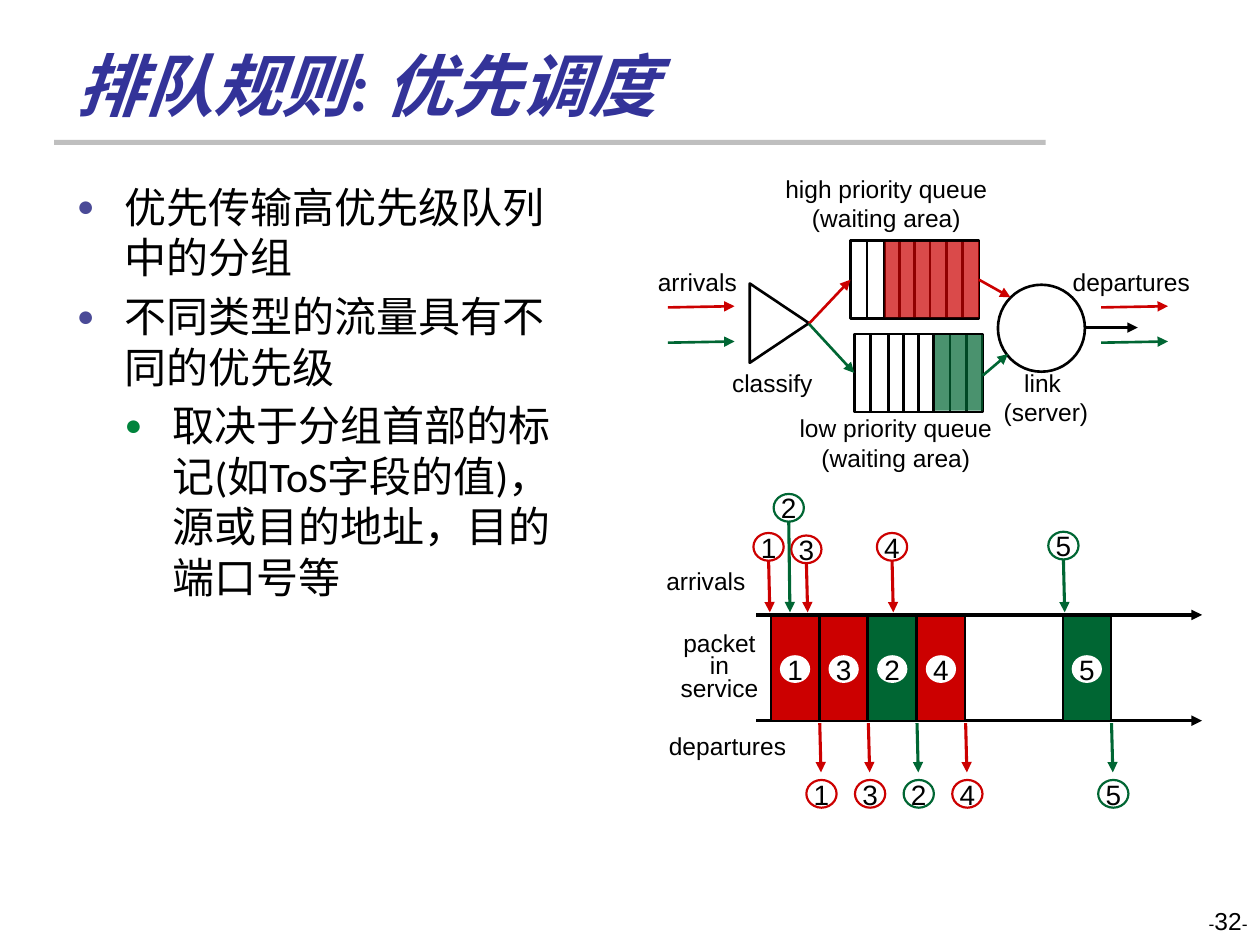
from lxml import etree
from pptx import Presentation, util as u
from pptx.dml.color import RGBColor
from pptx.enum import shapes as es, text as et
from pptx.oxml import ns

HUES = {"ink": "000000", "paper": "FFFFFF", "red": "CC0000", "green": "006633",
        "title": "333399", "rule": "BFBFBF", "dot": "4A4A97", "subdot": "00843C"}
COLS, ROWS = 100, 75
CELL = u.Inches(0.1)
KIND = es.MSO_SHAPE
ALIGN = et.PP_ALIGN
MID = et.MSO_ANCHOR.MIDDLE
BARE = {"margin_left": 0, "margin_right": 0, "margin_top": 0,
        "margin_bottom": 0, "word_wrap": False, "vertical_anchor": MID}
SLOT = 3.86
# number, hue, service slot, column and row of the arrival tag
PACKETS = [("1", "red", 0, 59.8, 42.3), ("3", "red", 1, 62.8, 42.5),
           ("2", "green", 2, 61.4, 39.2), ("4", "red", 3, 69.6, 42.3),
           ("5", "green", 6, 83.2, 42.2)]


def grid(*cells):
    """Turn grid cells into lengths."""
    return [int(CELL * c) for c in cells]


def rgb(hue):
    """Look up a colour."""
    return RGBColor.from_string(HUES[hue])


def put(item, form):
    """Set attributes from a dict of format values."""
    for key, val in form.items():
        setattr(item, key, val)


def node(parent, tag, **attrs):
    """Append an XML element in the drawing namespace."""
    return etree.SubElement(parent, ns.qn("a:" + tag), attrs)


def ink(run, size, hue="ink", face="Arial", **form):
    """Format the font of a run."""
    put(run.font, {"size": u.Pt(size), "name": face, **form})
    run.font.color.rgb = rgb(hue)


def form(slide, kind, box, fill=None, line=None, width=1.5, clear=None, turn=0):
    """Draw a preset shape, optionally see-through."""
    shape = slide.shapes.add_shape(kind, *grid(*box))
    put(shape, {"rotation": turn})
    shape.shadow.inherit = False
    if fill:
        shape.fill.solid()
        shape.fill.fore_color.rgb = rgb(fill)
        if clear:
            tint = shape.fill._xPr.find(".//" + ns.qn("a:srgbClr"))
            node(tint, "alpha", val=str(clear * 1000))
    else:
        shape.fill.background()
    if line:
        shape.line.color.rgb = rgb(line)
        shape.line.width = u.Pt(width)
    else:
        shape.line.fill.background()
    return shape


def link(slide, ends, hue="ink", width=1.5, head=True):
    """Draw a straight line or arrow."""
    line = slide.shapes.add_connector(es.MSO_CONNECTOR.STRAIGHT, *grid(*ends))
    line.line.color.rgb = rgb(hue)
    line.line.width = u.Pt(width)
    if head:
        node(line.line._get_or_add_ln(), "tailEnd", type="triangle")
    node(line._element.spPr, "effectLst")


def label(slide, box, *rows, align=ALIGN.CENTER, wrap=False, pitch=None):
    """Write a caption of one or more paragraphs."""
    frame = slide.shapes.add_textbox(*grid(*box)).text_frame
    frame.word_wrap = wrap
    for i, row in enumerate(rows):
        para = frame.add_paragraph() if i else frame.paragraphs[0]
        put(para, {"alignment": align, "line_spacing": pitch})
        run = para.add_run()
        run.text = row
        ink(run, 14)


def tag(slide, num, x, y, line=None):
    """Draw a numbered oval."""
    oval = form(slide, KIND.OVAL, (x, y, 2.4, 2.2), "paper", line, 1.25)
    put(oval.text_frame, BARE)
    para = oval.text_frame.paragraphs[0]
    para.alignment = ALIGN.CENTER
    run = para.add_run()
    run.text = num
    ink(run, 16)


def queue(slide, x, y, start, hue):
    """Draw a buffer, its dividers and its filled part."""
    form(slide, KIND.RECTANGLE, (x, y, 10.2, 6.2), line="ink")
    for step in (1.3, 2.7, 3.9, 5.1, 6.3, 7.6, 8.9):
        link(slide, (x + step, y + 0.1, x + step, y + 6.2), head=False)
    form(slide, KIND.RECTANGLE, (x + start, y + 0.1, 10.2 - start, 6), hue, clear=71)


def bullet(para, hue, level):
    """Give a paragraph a hanging round bullet."""
    para.level = level
    props = para._p.get_or_add_pPr()
    hang = int(u.Inches(0.38))
    put_on = {"marL": hang * (level + 1), "indent": -hang}
    for key, val in put_on.items():
        props.set(key, str(val))
    node(node(props, "buClr"), "srgbClr", val=HUES[hue])
    node(props, "buSzPct", val="70000")
    node(props, "buFont", typeface="Arial")
    node(props, "buChar", char="●")


def place(shape, box, anchor):
    """Move a placeholder and fix its frame."""
    put(shape, dict(zip(("left", "top", "width", "height"), grid(*box))))
    put(shape.text_frame, {"auto_size": et.MSO_AUTO_SIZE.NONE,
                           "vertical_anchor": anchor, "word_wrap": True})
    return shape.text_frame


def words(slide):
    """Fill the title, the list and the page number."""
    form(slide, KIND.RECTANGLE, (4.3, 11.1, 78.7, 0.4), "rule")
    para = place(slide.shapes.title, (5.1, 2.8, 82.5, 7.8), MID).paragraphs[0]
    para.alignment = ALIGN.LEFT
    run = para.add_run()
    run.text = "排队规则: 优先调度"
    ink(run, 39, "title", "Calibri", bold=True, italic=True)

    body = place(slide.placeholders[1], (5.1, 13.9, 41.7, 56.7), et.MSO_ANCHOR.TOP)
    points = [("优先传输高优先级队列中的分组", "dot", 0),
              ("不同类型的流量具有不同的优先级", "dot", 0),
              ("取决于分组首部的标记(如ToS字段的值)，源或目的地址，目的端口号等", "subdot", 1)]
    for i, (line, hue, level) in enumerate(points):
        para = body.add_paragraph() if i else body.paragraphs[0]
        bullet(para, hue, level)
        run = para.add_run()
        run.text = line
        ink(run, 24, face="Calibri")

    page = slide.shapes.add_textbox(*grid(76.7, 71.4, 23.3, 5)).text_frame
    page.word_wrap = True
    page.paragraphs[0].alignment = ALIGN.RIGHT
    for part, size in (("-", 10), ("32", 14), ("-", 10)):
        run = page.paragraphs[0].add_run()
        run.text = part
        ink(run, size)


def model(slide):
    """Draw the two queues between classifier and link."""
    queue(slide, 67.8, 26.5, 6.4, "green")
    queue(slide, 67.5, 19.1, 2.7, "red")
    form(slide, KIND.ISOSCELES_TRIANGLE, (58.7, 23.3, 6.3, 4.7), line="ink", turn=90)
    form(slide, KIND.OVAL, (79.2, 22.6, 6.9, 6.9), line="ink")
    for x in (53, 87.4):
        link(slide, (x, 24.4, x + 5.3, 24.3), "red")
        link(slide, (x, 27.2, x + 5.3, 27.1), "green")
    for ends, hue in (((64.2, 25.7, 67.5, 22.2), "red"),
                      ((64.2, 25.7, 67.8, 29.6), "green"),
                      ((77.7, 22.2, 80.2, 23.6), "red"),
                      ((78, 29.8, 80, 28.1), "green"),
                      ((86, 26, 90.3, 26), "ink")):
        link(slide, ends, hue)
    label(slide, (61, 13.3, 18.7, 5.7), "high priority queue", "(waiting area)")
    label(slide, (62.4, 32.3, 17.4, 5.7), "low priority queue", "(waiting area)")
    label(slide, (51.2, 20.7, 8.3, 3.4), "arrivals")
    label(slide, (57, 28.7, 8.6, 3.4), "classify")
    label(slide, (84.1, 20.7, 11.4, 3.4), "departures")
    label(slide, (78.1, 28.7, 9.3, 5.7), "link", " (server)")


def timing(slide):
    """Draw arrivals, service and departures over time."""
    for y in (48.8, 57.2):
        link(slide, (60, y, 95.4, y), width=2)
    for num, hue, slot, x, y in PACKETS:
        left = 61.2 + SLOT * slot
        end = left + SLOT
        form(slide, KIND.RECTANGLE, (left, 48.9, 3.8, 8.3), hue, "ink", 1.25)
        tag(slide, num, left + 0.7, 52)
        link(slide, (x + 1.2, y + 2.2, x + 1.3, 48.6), hue, 1.75)
        tag(slide, num, x, y, hue)
        link(slide, (end, 57.4, end + 0.1, 61.3), hue, 1.75)
        tag(slide, num, left + 2.8, 61.9, hue)
    label(slide, (51.9, 44.4, 8.8, 3.4), "arrivals", align=ALIGN.LEFT)
    label(slide, (52.1, 57.5, 11.9, 3.4), "departures", align=ALIGN.LEFT)
    label(slide, (52.4, 49.9, 9.4, 6.5), "packet in service", wrap=True, pitch=u.Pt(12.8))


def main():
    """Build and save the slide."""
    deck = Presentation()
    deck.slide_width, deck.slide_height = grid(COLS, ROWS)
    slide = deck.slides.add_slide(deck.slide_layouts[1])
    words(slide)
    model(slide)
    timing(slide)
    deck.save("out.pptx")


main()
